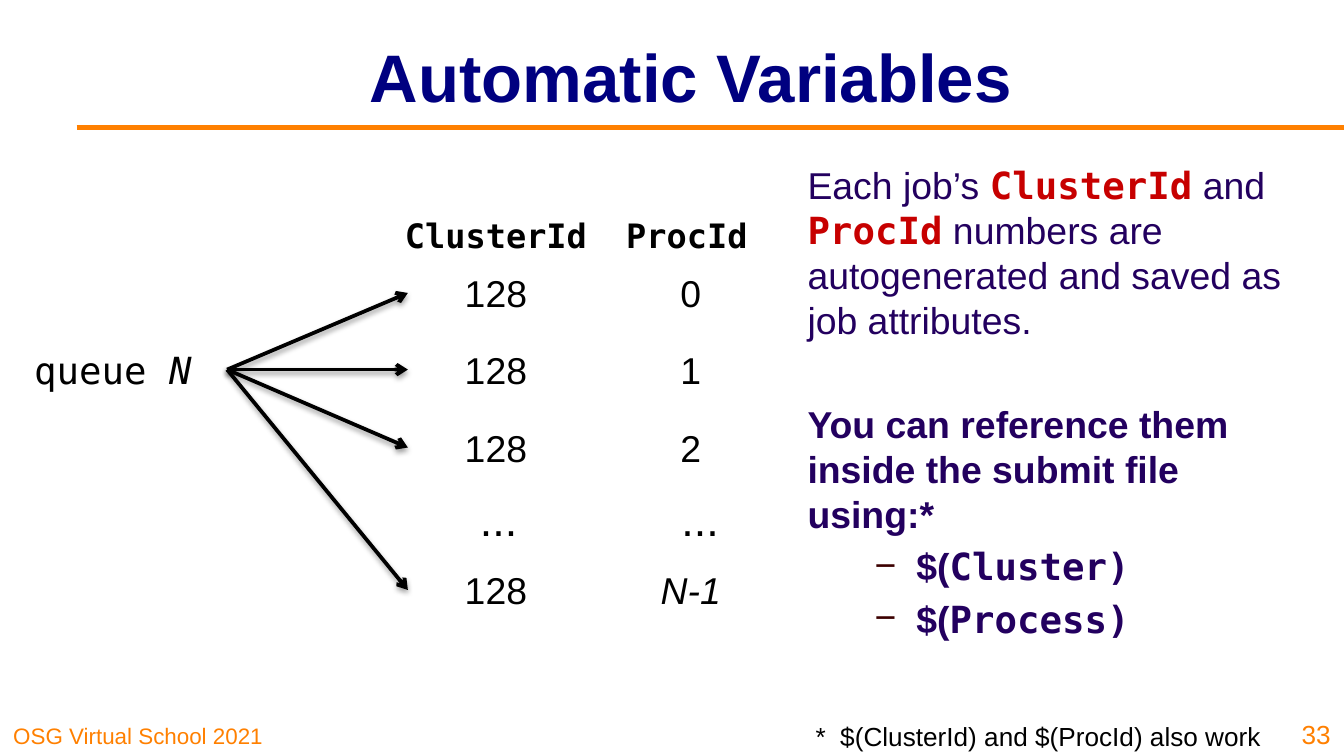
from lxml import etree
from pptx import Presentation
from pptx import util as u
from pptx.dml.color import RGBColor
from pptx.enum import shapes, text
from pptx.oxml import ns

WIDTH = 10
HEIGHT = WIDTH * 9 / 16
SANS, MONO = "Arial", "DejaVu Sans Mono"
BLACK, ORANGE, NAVY, INDIGO, RED, MAROON = (
    "000000", "FF8000", "000080", "23005F", "C70000", "3C0000")
CLUSTER_X, PROC_X = 3.69, 5.14
HEADING_Y = 1.75
ROW_HEIGHT = 0.88
JOBS = [(2.18, "0"), (2.75, "1"), (3.33, "2"), (3.86, "..."), (4.39, "N-1")]
QUEUE_Y = 2.75


def color(value):
    """Return the colour for a hex string."""
    return RGBColor.from_string(value)


def style(font, size=None, name=None, ink=None, bold=None, italic=None):
    """Set the given font properties."""
    if size:
        font.size = u.Pt(size)
    if name:
        font.name = name
    if ink:
        font.color.rgb = color(ink)
    if bold is not None:
        font.bold = bold
    if italic is not None:
        font.italic = italic


def add_runs(paragraph, runs):
    """Append (wording, font settings) runs to a paragraph."""
    for wording, settings in runs:
        run = paragraph.add_run()
        run.text = wording
        style(run.font, **settings)


def add_label(slide, box, runs, size=20, align="CENTER", anchor="MIDDLE",
              wrap=True, **font):
    """Add a one-paragraph text box and return it."""
    label = slide.shapes.add_textbox(*map(u.Inches, box))
    frame = label.text_frame
    frame.word_wrap = wrap
    frame.vertical_anchor = text.MSO_ANCHOR[anchor]
    paragraph = frame.paragraphs[0]
    paragraph.alignment = text.PP_ALIGN[align]
    style(paragraph.font, size, **{"name": SANS, "ink": BLACK, **font})
    add_runs(paragraph, [(runs, {})] if isinstance(runs, str) else runs)
    return label


def add_cell(slide, x, y, width, runs, **font):
    """Add a label centred on a point."""
    box = (x - width / 2, y - ROW_HEIGHT / 2, width, ROW_HEIGHT)
    return add_label(slide, box, runs, **font)


def add_line(slide, start, end, ink, weight):
    """Add a straight line without shadow and return it."""
    line = slide.shapes.add_connector(
        shapes.MSO_CONNECTOR.STRAIGHT, *map(u.Inches, start + end))
    line.line.color.rgb = color(ink)
    line.line.width = u.Pt(weight)
    etree.SubElement(line._element.spPr, ns.qn("a:effectLst"))
    return line


def add_arrow(slide, source, target):
    """Join two labels by an arrow with a soft shadow."""
    arrow = add_line(slide, (0, 0), (1, 1), BLACK, 2)
    arrow.begin_connect(source, 3)
    arrow.end_connect(target, 1)
    etree.SubElement(arrow.line._get_or_add_ln(), ns.qn("a:tailEnd"), type="arrow")
    effects = arrow._element.spPr.find(ns.qn("a:effectLst"))
    shadow = etree.SubElement(
        effects, ns.qn("a:outerShdw"), blurRad=str(u.Pt(3.1)),
        dist=str(u.Pt(1.6)), dir="5400000", rotWithShape="0")
    ink = etree.SubElement(shadow, ns.qn("a:srgbClr"), val=BLACK)
    etree.SubElement(ink, ns.qn("a:alpha"), val="38000")


def add_title(slide, wording):
    """Place and format the title above its rule."""
    title = slide.shapes.title
    title.left, title.top, title.width, title.height = map(
        u.Inches, (1.34, 0.09, 7.6, 0.94))
    title.text_frame.vertical_anchor = text.MSO_ANCHOR.MIDDLE
    paragraph = title.text_frame.paragraphs[0]
    paragraph.text = wording
    paragraph.alignment = text.PP_ALIGN.CENTER
    style(paragraph.font, 36, SANS, NAVY, True)
    add_line(slide, (0.57, 0.95), (WIDTH, 0.95), ORANGE, 3)


def add_queue_diagram(slide):
    """Show how one queue statement fans out into numbered jobs."""
    queue = add_cell(slide, 0.84, QUEUE_Y, 1.7,
                     [("queue ", {}), ("N", {"italic": True})], name=MONO)
    heading = {"size": 18, "name": MONO, "bold": True}
    add_cell(slide, CLUSTER_X, HEADING_Y, 1.63, "ClusterId", **heading)
    add_cell(slide, PROC_X - 0.03, HEADING_Y, 1.48, "ProcId", **heading)
    for y, proc_id in JOBS:
        if proc_id == "...":
            add_cell(slide, CLUSTER_X + 0.02, y, 1.31, proc_id, size=24)
            add_cell(slide, PROC_X + 0.07, y, 1.36, proc_id, size=24)
            continue
        job = add_cell(slide, CLUSTER_X, y, 1.31, "128")
        add_cell(slide, PROC_X, y, 0.73, proc_id, italic=proc_id == "N-1")
        add_arrow(slide, queue, job)


def add_dash(paragraph):
    """Give a paragraph a hanging dash."""
    props = paragraph._p.get_or_add_pPr()
    props.set("marL", str(u.Inches(0.81)))
    props.set("indent", str(u.Inches(-0.31)))
    ink = etree.SubElement(props, ns.qn("a:buClr"))
    etree.SubElement(ink, ns.qn("a:srgbClr"), val=MAROON)
    etree.SubElement(props, ns.qn("a:buFont"), typeface=SANS)
    etree.SubElement(props, ns.qn("a:buChar"), char="−")


def add_explanation(slide):
    """Describe the automatic variables and how to reference them."""
    box = slide.shapes.add_textbox(*map(u.Inches, (5.91, 1.16, 3.88, 4.09)))
    frame = box.text_frame
    frame.word_wrap = True
    attribute = {"name": MONO, "ink": RED, "bold": True}
    entries = [
        (0, False, [("Each job’s ", {}), ("ClusterId", attribute), (" and ", {}),
                    ("ProcId", attribute),
                    (" numbers are autogenerated and saved as job attributes.", {})]),
        (32, False, [("You can reference them inside the submit file using:*", {})]),
        (4, True, [("$(", {}), ("Cluster)", {"name": MONO})]),
        (4, True, [("$(", {}), ("Process)", {"name": MONO})]),
    ]
    for index, (gap, dashed, runs) in enumerate(entries):
        paragraph = frame.add_paragraph() if index else frame.paragraphs[0]
        if gap:
            paragraph.space_before = u.Pt(gap)
        if dashed:
            paragraph.level = 1
            add_dash(paragraph)
        style(paragraph.font, 20, SANS, INDIGO, index > 0)
        add_runs(paragraph, runs)


def main():
    """Build and save the slide."""
    deck = Presentation()
    deck.slide_width, deck.slide_height = u.Inches(WIDTH), u.Inches(HEIGHT)
    slide = deck.slides.add_slide(deck.slide_layouts[5])
    add_title(slide, "Automatic Variables")
    add_explanation(slide)
    add_queue_diagram(slide)
    add_label(slide, (5.97, 5.31, 3.53, 0.34),
              "*  $(ClusterId) and $(ProcId) also work", 14, "LEFT", "TOP", wrap=False)
    add_label(slide, (0, 5.31, 2.48, 0.31), "OSG Virtual School 2021",
              12, "LEFT", "BOTTOM", ink=ORANGE)
    add_label(slide, (9.54, 5.25, 0.46, 0.38), "33", 14, "RIGHT", "BOTTOM", ink=ORANGE)
    deck.save("out.pptx")


if __name__ == "__main__":
    main()
